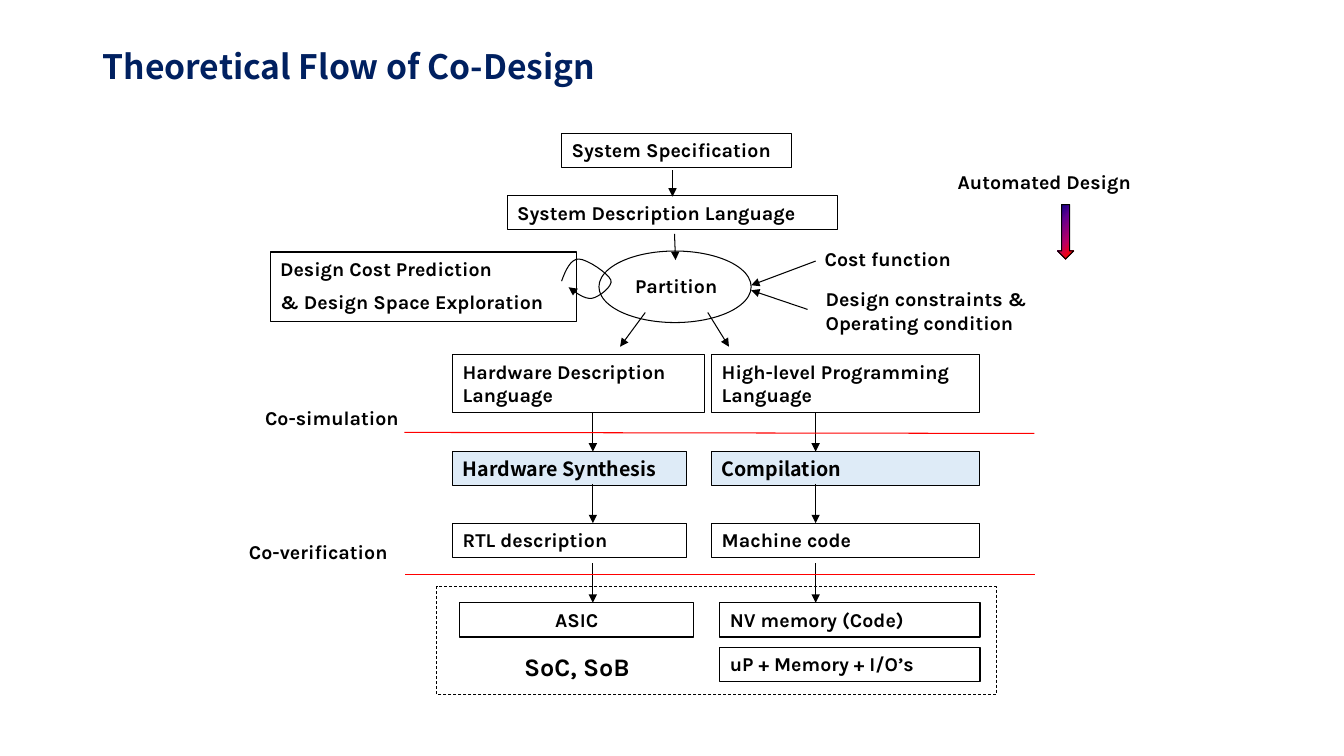
from lxml import etree
from pptx import Presentation
from pptx.dml.color import RGBColor
from pptx.enum.dml import MSO_LINE
from pptx.enum.shapes import MSO_CONNECTOR, MSO_SHAPE
from pptx.enum.text import MSO_ANCHOR, MSO_AUTO_SIZE, PP_ALIGN
from pptx.oxml.ns import qn
from pptx.util import Inches, Pt

RECT, OVAL, DOWN = MSO_SHAPE.RECTANGLE, MSO_SHAPE.OVAL, MSO_SHAPE.DOWN_ARROW
STRAIGHT, DASH = MSO_CONNECTOR.STRAIGHT, MSO_LINE.DASH
LEFT, CENTER = PP_ALIGN.LEFT, PP_ALIGN.CENTER
TOP, MIDDLE = MSO_ANCHOR.TOP, MSO_ANCHOR.MIDDLE
GROW, FIXED = MSO_AUTO_SIZE.SHAPE_TO_FIT_TEXT, MSO_AUTO_SIZE.NONE

BODY_FONT, HEAD_FONT = "Karla", "Noto Sans CJK KR"
COLORS = {"ink": "000000", "title": "002060", "tint": "DEEBF7", "stage": "FF0000"}
GRADIENT = [(0, "000082"), (30, "66008F"), (65, "BA0066"), (90, "FF0000"), (100, "FF8200")]
ONE_LINE, TWO_LINES = 0.34, 0.57

BOXES = [
    ("System Specification", 5.57, 1.32, 2.28, ONE_LINE, {}),
    ("System Description Language", 5.03, 1.94, 3.28, ONE_LINE, {}),
    ("Design Cost Prediction\n& Design Space Exploration", 2.68, 2.5, 3.04, 0.69, {}),
    ("Hardware Description Language", 4.49, 3.52, 2.5, TWO_LINES, {}),
    ("High-level Programming Language", 7.06, 3.52, 2.66, TWO_LINES, {}),
    ("Hardware Synthesis", 4.49, 4.48, 2.32, ONE_LINE, {"fill": "tint", "font": HEAD_FONT}),
    ("Compilation", 7.06, 4.48, 2.66, ONE_LINE, {"fill": "tint", "font": HEAD_FONT}),
    ("RTL description", 4.49, 5.19, 2.32, ONE_LINE, {}),
    ("Machine code", 7.06, 5.19, 2.66, ONE_LINE, {}),
    ("ASIC", 4.56, 5.98, 2.32, ONE_LINE, {"align": CENTER}),
    ("NV memory (Code)", 7.14, 5.98, 2.58, ONE_LINE, {}),
    ("uP + Memory + I/O’s", 7.14, 6.42, 2.58, ONE_LINE, {}),
]
LABELS = [
    ("Partition", 6.2, 2.67, 1.07, ONE_LINE, {"wrap": False}),
    ("Cost function", 8.08, 2.4, 2.02, ONE_LINE, {}),
    ("Design constraints & Operating condition", 8.09, 2.8, 2.49, TWO_LINES, {}),
    ("Co-simulation", 2.53, 3.98, 2.02, ONE_LINE, {}),
    ("Co-verification", 2.37, 5.31, 2.02, ONE_LINE, {}),
    ("Automated Design", 9.4, 1.64, 2.02, ONE_LINE, {}),
    ("SoC, SoB", 5.1, 6.41, 1.33, 0.4, {"size": 18, "wrap": False}),
]
PARTITION_ARROWS = [
    (6.67, 1.69, 6.67, 1.95), (6.69, 2.32, 6.7, 2.58),
    (6.4, 3.1, 6.15, 3.44), (7.02, 3.1, 7.23, 3.44),
    (8.01, 3.07, 7.45, 2.88), (8.09, 2.59, 7.45, 2.83),
]
BRANCH_XS, STEP_YS, STEP_LENGTH = (5.88, 8.09), (4.09, 4.8, 5.59), 0.39
STAGE_LINES = [(4.01, 4.29, 10.26, 4.3), (4.02, 5.7, 10.27, 5.7)]
LOOP_START = (5.57, 2.79)
LOOP_CURVES = [
    ((5.61, 2.68), (5.66, 2.57), (5.74, 2.57)),
    ((5.82, 2.57), (6.03, 2.71), (6.06, 2.78)),
    ((6.08, 2.84), (5.94, 2.95), (5.87, 2.96)),
    ((5.8, 2.97), (5.72, 2.91), (5.64, 2.85)),
]


def rgb(name):
    return RGBColor.from_string(COLORS[name])


def set_line(sp, color="ink", width=0.75, arrow=False):
    sp.line.color.rgb = rgb(color)
    sp.line.width = Pt(width)
    if arrow:
        etree.SubElement(sp.line._get_or_add_ln(), qn("a:tailEnd"), type="triangle")


def write(sp, text, size=14, font=BODY_FONT, color="ink", align=LEFT,
          wrap=True, anchor=TOP, auto_size=GROW, spacing=1.0):
    tf = sp.text_frame
    frame = {"word_wrap": wrap, "vertical_anchor": anchor, "auto_size": auto_size}
    for name, value in frame.items():
        setattr(tf, name, value)
    for i, line in enumerate(text.split("\n")):
        p = tf.add_paragraph() if i else tf.paragraphs[0]
        p.alignment, p.line_spacing = align, spacing
        p.space_before = Pt(size / 2 if i else 0)
        r = p.add_run()
        r.text = line
        for name, value in {"size": Pt(size), "name": font, "bold": True}.items():
            setattr(r.font, name, value)
        r.font.color.rgb = rgb(color)
        etree.SubElement(r.font._element, qn("a:ea"), typeface=font)


def add_outline(s, kind, x, y, w, h, fill=None, width=0.75):
    sp = s.shapes.add_shape(kind, Inches(x), Inches(y), Inches(w), Inches(h))
    sp.shadow.inherit = False
    if fill:
        sp.fill.solid()
        sp.fill.fore_color.rgb = rgb(fill)
    else:
        sp.fill.background()
    set_line(sp, width=width)
    return sp


def add_box(s, text, x, y, w, h, fill=None, **style):
    write(add_outline(s, RECT, x, y, w, h, fill), text, **style)


def add_label(s, text, x, y, w, h, **style):
    write(s.shapes.add_textbox(Inches(x), Inches(y), Inches(w), Inches(h)), text, **style)


def add_line(s, x1, y1, x2, y2, color="ink", arrow=True):
    sp = s.shapes.add_connector(STRAIGHT, Inches(x1), Inches(y1), Inches(x2), Inches(y2))
    set_line(sp, color, arrow=arrow)
    etree.SubElement(sp._element.spPr, qn("a:effectLst"))


def bezier_points(start, curves, steps=8):
    points = []
    for c1, c2, end in curves:
        for i in range(1, steps + 1):
            t = i / steps
            u = 1 - t
            points.append(tuple(
                Inches(u**3 * a + 3 * u * u * t * b + 3 * u * t * t * c + t**3 * d)
                for a, b, c, d in zip(start, c1, c2, end)))
        start = end
    return points


def add_loop(s):
    builder = s.shapes.build_freeform(*(Inches(v) for v in LOOP_START))
    builder.add_line_segments(bezier_points(LOOP_START, LOOP_CURVES), close=False)
    sp = builder.convert_to_shape()
    sp.shadow.inherit = False
    sp.fill.background()
    set_line(sp, arrow=True)


def add_gradient_arrow(s, x, y, w, h):
    sp = add_outline(s, DOWN, x, y, w, h)
    sp.fill.gradient()
    sp.fill.gradient_angle = 315
    stops = sp._element.spPr.find(qn("a:gradFill")).find(qn("a:gsLst"))
    for stop in list(stops):
        stops.remove(stop)
    for percent, color in GRADIENT:
        stop = etree.SubElement(stops, qn("a:gs"), pos=str(percent * 1000))
        etree.SubElement(stop, qn("a:srgbClr"), val=color)


def main():
    """Build the co-design flow slide."""
    prs = Presentation()
    prs.slide_width, prs.slide_height = Inches(13.33), Inches(7.5)
    s = prs.slides.add_slide(prs.slide_layouts[6])
    add_label(s, "Theoretical Flow of Co-Design", 0.92, 0.4, 11.5, 0.57, size=24, font=HEAD_FONT,
              color="title", anchor=MIDDLE, auto_size=FIXED, spacing=0.9)
    for *box, style in BOXES:
        add_box(s, *box, **style)
    add_outline(s, OVAL, 5.94, 2.49, 1.51, 0.71)
    add_outline(s, RECT, 4.33, 5.82, 5.55, 1.07, width=0.5).line.dash_style = DASH
    for *label, style in LABELS:
        add_label(s, *label, **style)
    for ends in PARTITION_ARROWS:
        add_line(s, *ends)
    for x in BRANCH_XS:
        for y in STEP_YS:
            add_line(s, x, y, x, y + STEP_LENGTH)
    for ends in STAGE_LINES:
        add_line(s, *ends, color="stage", arrow=False)
    add_loop(s)
    add_gradient_arrow(s, 10.49, 2.03, 0.16, 0.54)
    prs.save("out.pptx")


if __name__ == "__main__":
    main()
